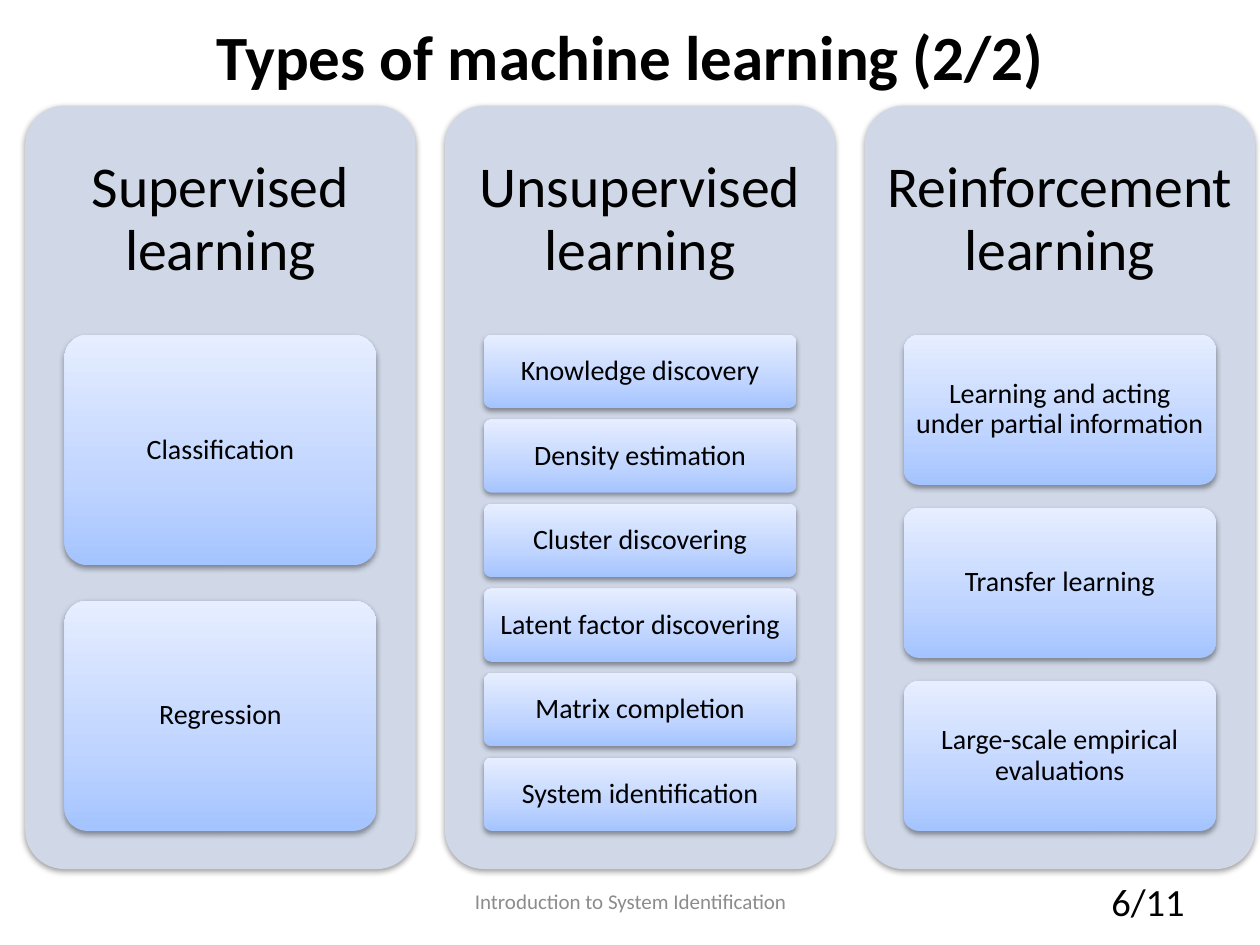
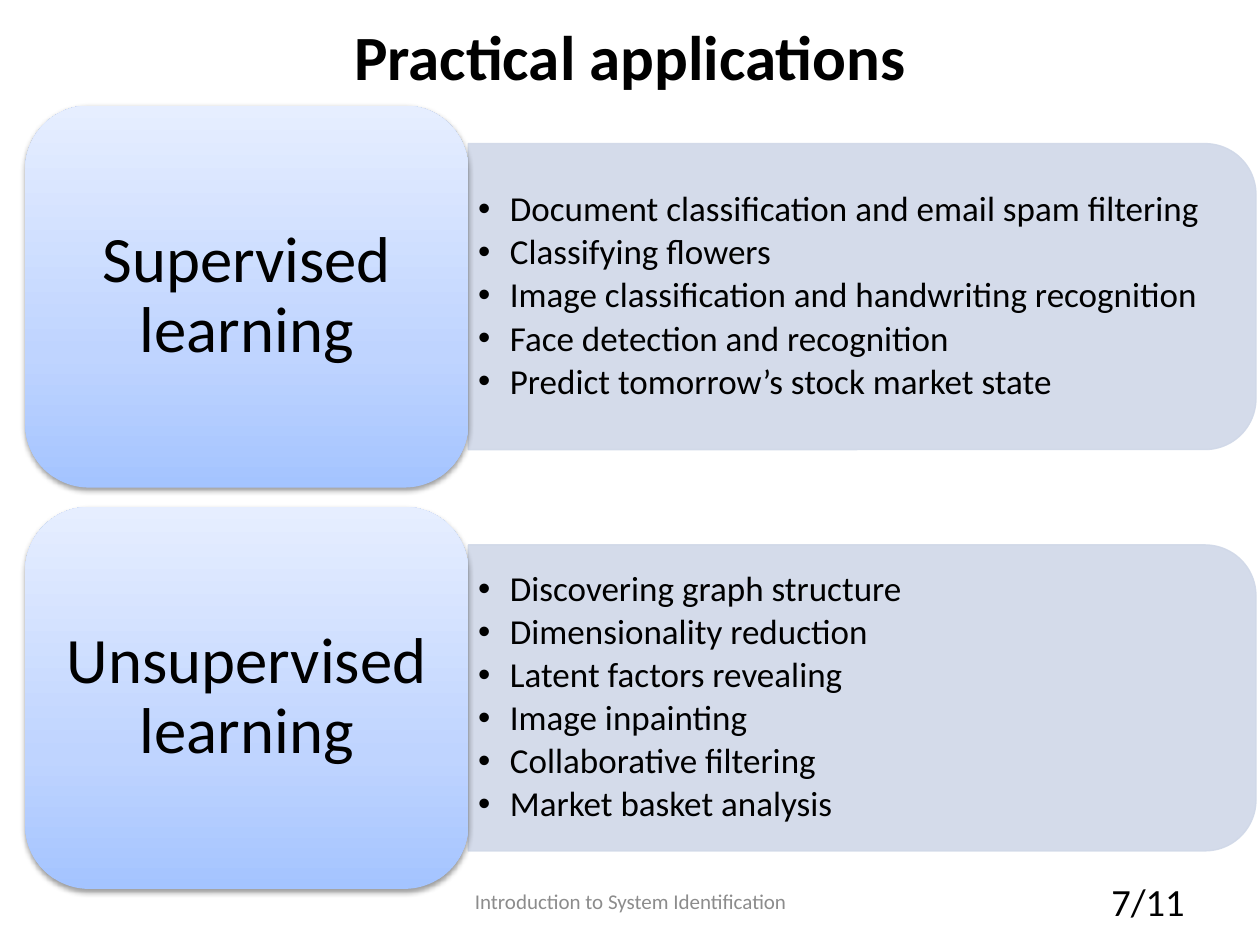
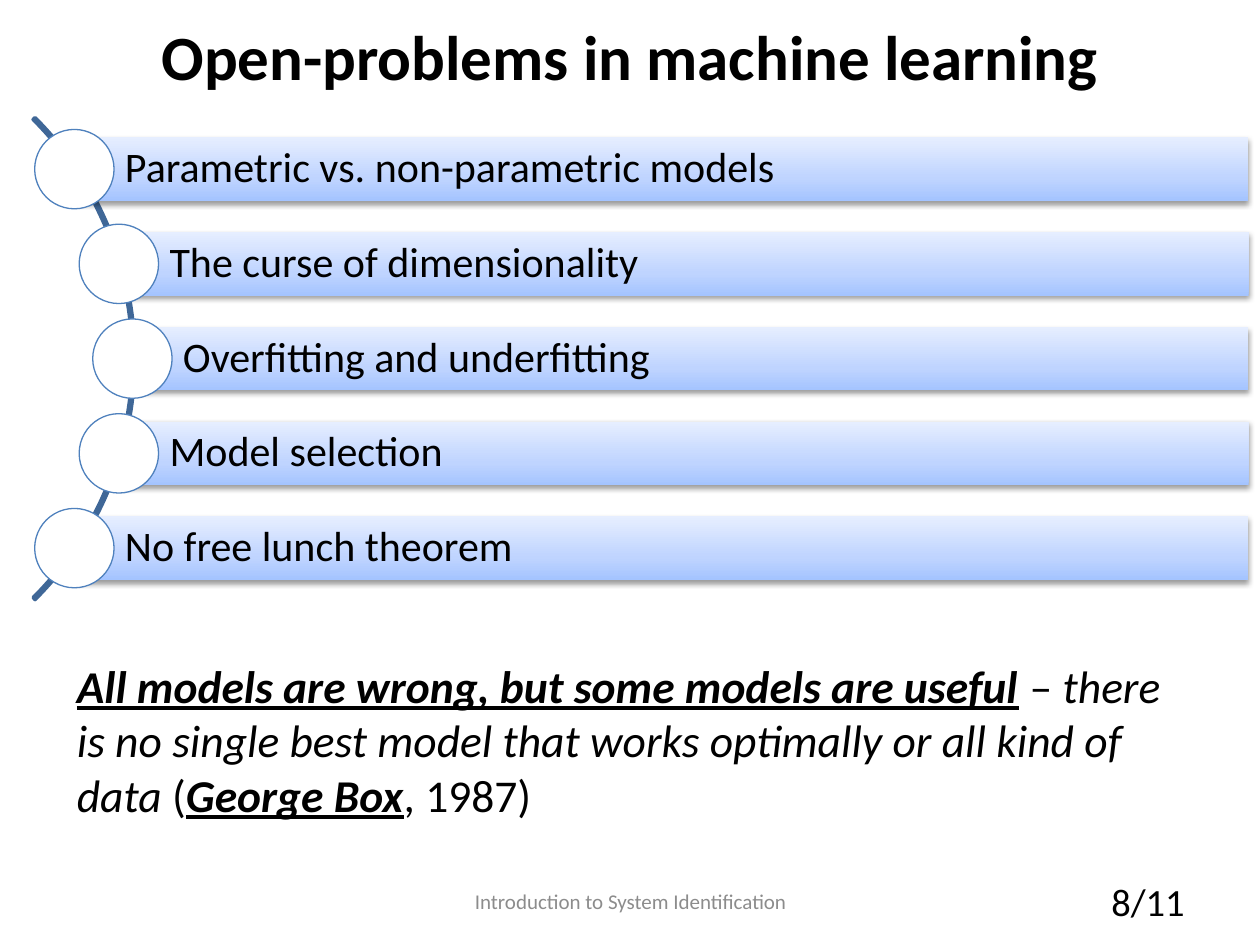
from copy import deepcopy
from math import sqrt

from lxml import etree
from pptx import Presentation
from pptx.dml.color import RGBColor
from pptx.enum.shapes import MSO_SHAPE
from pptx.enum.text import MSO_ANCHOR, PP_ALIGN
from pptx.oxml.ns import qn
from pptx.util import Cm, Pt

LEFT, CENTER, RIGHT = PP_ALIGN.LEFT, PP_ALIGN.CENTER, PP_ALIGN.RIGHT
TOP, MIDDLE = MSO_ANCHOR.TOP, MSO_ANCHOR.MIDDLE
RECT, ROUNDED = MSO_SHAPE.RECTANGLE, MSO_SHAPE.ROUNDED_RECTANGLE
TWO_ROUND, OVAL = MSO_SHAPE.ROUND_2_SAME_RECTANGLE, MSO_SHAPE.OVAL
BLOCK_ARC = MSO_SHAPE.BLOCK_ARC

FONT = "Calibri"
BLACK = RGBColor(0x00, 0x00, 0x00)
WHITE = RGBColor(0xFF, 0xFF, 0xFF)
GRAY = RGBColor(0x8C, 0x8C, 0x8C)
PANEL = RGBColor(0xD0, 0xD8, 0xE8)
ARC_BLUE = RGBColor(0x3F, 0x67, 0x97)
RING_BLUE = RGBColor(0x4F, 0x81, 0xBD)
GRADIENT = [
    (0, RGBColor(0xA4, 0xC4, 0xFF)),
    (0.35, RGBColor(0xBF, 0xD4, 0xFF)),
    (1, RGBColor(0xE6, 0xEE, 0xFF)),
]

FOOTER = "Introduction to System Identification"
FIRST_PAGE, PAGE_COUNT = 6, 11

TYPES = [
    ("Supervised learning", ["Classification", "Regression"]),
    ("Unsupervised learning", [
        "Knowledge discovery",
        "Density estimation",
        "Cluster discovering",
        "Latent factor discovering",
        "Matrix completion",
        "System identification",
    ]),
    ("Reinforcement learning", [
        "Learning and acting under partial information",
        "Transfer learning",
        "Large-scale empirical evaluations",
    ]),
]

APPLICATIONS = [
    ("Supervised learning", [
        "Document classification and email spam filtering",
        "Classifying flowers",
        "Image classification and handwriting recognition",
        "Face detection and recognition",
        "Predict tomorrow’s stock market state",
    ]),
    ("Unsupervised learning", [
        "Discovering graph structure",
        "Dimensionality reduction",
        "Latent factors revealing",
        "Image inpainting",
        "Collaborative filtering",
        "Market basket analysis",
    ]),
]

PROBLEMS = [
    "Parametric vs. non-parametric models",
    "The curse of dimensionality",
    "Overfitting and underfitting",
    "Model selection",
    "No free lunch theorem",
]

QUOTE = [
    ("All models are wrong, but some models are useful", True, True),
    (" – ", False, False),
    ("there is no single best model that works optimally or all kind of data", False, True),
    (" (", False, False),
    ("George Box", True, True),
    (", 1987)", False, False),
]


def style_run(r, size, color=BLACK, bold=False):
    r.font.name = FONT
    r.font.size = Pt(size)
    r.font.color.rgb = color
    r.font.bold = bold


def set_frame(tf, inset=(0.25, 0.13), anchor=MIDDLE):
    tf.word_wrap = True
    tf.vertical_anchor = anchor
    tf.margin_left = tf.margin_right = Cm(inset[0])
    tf.margin_top = tf.margin_bottom = Cm(inset[1])


def write(sp, text, size, align=CENTER, color=BLACK, bold=False, spacing=0.9, inset=(0.25, 0.13)):
    tf = sp.text_frame
    set_frame(tf, inset)
    tf.text = text
    for p in tf.paragraphs:
        p.alignment = align
        p.line_spacing = spacing
        for r in p.runs:
            style_run(r, size, color, bold)


def add_text(s, x, y, w, h):
    return s.shapes.add_textbox(Cm(x), Cm(y), Cm(w), Cm(h))


def add_shape(s, kind, x, y, w, h, fill=None, line=None, width=0.75):
    sp = s.shapes.add_shape(kind, Cm(x), Cm(y), Cm(w), Cm(h))
    sp.shadow.inherit = False
    if fill is None:
        sp.fill.background()
    else:
        sp.fill.solid()
        sp.fill.fore_color.rgb = fill
    if line is None:
        sp.line.fill.background()
    else:
        sp.line.color.rgb = line
        sp.line.width = Pt(width)
    return sp


def add_shadow(sp):
    effects = sp._element.spPr.find(qn("a:effectLst"))
    shadow = etree.SubElement(effects, qn("a:outerShdw"), blurRad="40000",
                              dist="20000", dir="5400000", rotWithShape="0")
    color = etree.SubElement(shadow, qn("a:srgbClr"), val=str(BLACK))
    etree.SubElement(color, qn("a:alpha"), val="38000")


def add_glossy(s, kind, x, y, w, h):
    sp = add_shape(s, kind, x, y, w, h)
    sp.fill.gradient()
    sp.fill.gradient_angle = 90
    stops = sp._element.spPr.find(".//" + qn("a:gsLst"))
    stops.append(deepcopy(stops[0]))
    for stop, (position, color) in zip(sp.fill.gradient_stops, GRADIENT):
        stop.position = position
        stop.color.rgb = color
    add_shadow(sp)
    return sp


def set_bullets(tf):
    for p in tf.paragraphs:
        p.space_after = Pt(3)
        pPr = p._p.get_or_add_pPr()
        pPr.set("marL", str(Cm(0.64)))
        pPr.set("indent", str(Cm(-0.64)))
        etree.SubElement(pPr, qn("a:buFont"), typeface="Arial")
        etree.SubElement(pPr, qn("a:buChar"), char="•")


def add_slide(prs, title):
    s = prs.slides.add_slide(prs.slide_layouts[5])
    sp = s.shapes.title
    sp.left, sp.top, sp.width, sp.height = Cm(0), Cm(0.13), Cm(25.4), Cm(1.96)
    write(sp, title, 36, bold=True, spacing=1)
    write(add_text(s, 8.69, 17.65, 8.05, 1.02), FOOTER, 12, color=GRAY, spacing=1)
    page = FIRST_PAGE + len(prs.slides) - 1
    write(add_text(s, 18.21, 17.65, 5.92, 1.02), f"{page}/{PAGE_COUNT}", 22, RIGHT, spacing=1)
    return s


def build_types(prs):
    s = add_slide(prs, "Types of machine learning (2/2)")
    top, width, pitch = 2.13, 7.87, 8.46
    head_h, cards_h, gap_ratio, side = 4.62, 10, 0.154, 0.79
    for col, (heading, cards) in enumerate(TYPES):
        x = 0.51 + col * pitch
        panel = add_shape(s, ROUNDED, x, top, width, 15.39, PANEL)
        panel.adjustments[0] = 0.1
        add_shadow(panel)
        write(add_text(s, x, top, width, head_h), heading, 33, inset=(0.36, 0.36))
        card_h = cards_h / (len(cards) + (len(cards) - 1) * gap_ratio)
        for row, label in enumerate(cards):
            y = top + head_h + row * card_h * (1 + gap_ratio)
            card = add_glossy(s, ROUNDED, x + side, y, width - 2 * side, card_h)
            card.adjustments[0] = 0.1
            write(card, label, 16, inset=(0.1, 0.08))


def build_applications(prs):
    s = add_slide(prs, "Practical applications")
    x, label_w, label_h, pitch = 0.51, 8.93, 7.7, 8.09
    panel_w, panel_h, list_h = 15.88, 6.17, 5.56
    panel_x = x + label_w
    for row, (heading, items) in enumerate(APPLICATIONS):
        y = 2.13 + row * pitch
        mid = y + label_h / 2
        panel = add_shape(s, TWO_ROUND, panel_x + (panel_w - panel_h) / 2,
                          mid - panel_w / 2, panel_h, panel_w, PANEL, PANEL)
        panel.rotation = 90
        for color in panel._element.spPr.iter(qn("a:srgbClr")):
            etree.SubElement(color, qn("a:alpha"), val="90000")
        sp = add_text(s, panel_x, mid - list_h / 2, 15.57, list_h)
        write(sp, "\n".join(items), 20, LEFT, inset=(0.2, 0.1))
        set_bullets(sp.text_frame)
        label = add_glossy(s, ROUNDED, x, y, label_w, label_h)
        write(label, heading, 37, inset=(0.38, 0.2))


def build_problems(prs):
    s = add_slide(prs, "Open-problems in machine learning")
    center_x, center_y, radius = -4.15, 7.23, 6.82
    pitch, bar_h, bar_right, ring = 1.91, 1.28, 25.17, 1.6
    arc_r = 6.87
    arc = add_shape(s, BLOCK_ARC, center_x - arc_r, center_y - arc_r,
                    2 * arc_r, 2 * arc_r, line=ARC_BLUE, width=2)
    for i, value in enumerate((189, 27, 0.004)):
        arc.adjustments[i] = value
    for i, label in enumerate(PROBLEMS):
        dy = (i - (len(PROBLEMS) - 1) / 2) * pitch
        x, y = center_x + sqrt(radius ** 2 - dy ** 2), center_y + dy
        bar = add_glossy(s, RECT, x, y - bar_h / 2, bar_right - x, bar_h)
        write(bar, label, 24, LEFT, inset=(0.18, 0.18))
        bar.text_frame.margin_left = Cm(1.02)
        add_shape(s, OVAL, x - ring / 2, y - ring / 2, ring, ring, WHITE, RING_BLUE)

    tf = add_text(s, 1.3, 13.13, 22.86, 3.81).text_frame
    set_frame(tf, anchor=TOP)
    p = tf.paragraphs[0]
    p.space_before = Pt(5.2)
    for text, strong, italic in QUOTE:
        r = p.add_run()
        r.text = text
        style_run(r, 26, bold=strong)
        r.font.underline = strong
        r.font.italic = italic


def main():
    prs = Presentation()
    prs.slide_width, prs.slide_height = Cm(25.4), Cm(19.05)
    build_types(prs)
    build_applications(prs)
    build_problems(prs)
    prs.save("out.pptx")


if __name__ == "__main__":
    main()
